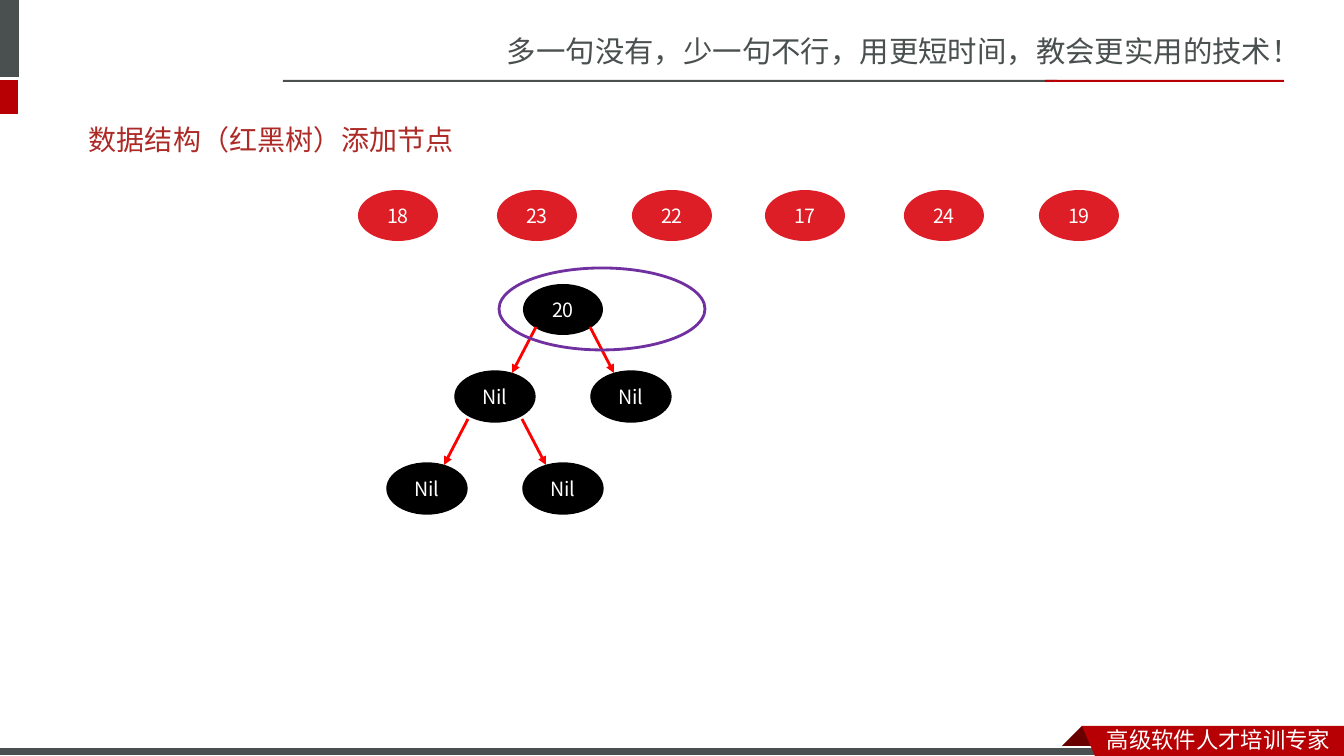
from lxml.etree import SubElement
from pptx import Presentation
from pptx.dml.color import RGBColor
from pptx.enum.shapes import MSO_CONNECTOR, MSO_SHAPE
from pptx.enum.text import MSO_ANCHOR, PP_ALIGN
from pptx.oxml.ns import qn
from pptx.util import Pt

EMU_PER_PX = 914400 / 100.8
SLIDE_W, SLIDE_H = 1344, 756
NODE_W, NODE_H = 80, 51
CHILD_SHIFT = 68

CJK_FONT = "Noto Sans CJK SC"
WHITE = RGBColor(0xFF, 0xFF, 0xFF)
BLACK = RGBColor(0x00, 0x00, 0x00)
GREY = RGBColor(0x49, 0x50, 0x4F)
CRIMSON = RGBColor(0xB6, 0x00, 0x04)
FOLD_RED = RGBColor(0x68, 0x00, 0x00)
TITLE_RED = RGBColor(0xAD, 0x2A, 0x26)
NODE_RED = RGBColor(0xDE, 0x1E, 0x27)
ARROW_RED = RGBColor(0xFF, 0x00, 0x00)
PURPLE = RGBColor(0x70, 0x30, 0xA0)


def px(*lengths):
    return [round(length * EMU_PER_PX) for length in lengths]


def paint(shape, fill=None, line=None, width=1):
    shape.shadow.inherit = False
    if fill is None:
        shape.fill.background()
    else:
        shape.fill.solid()
        shape.fill.fore_color.rgb = fill
    if line is None:
        shape.line.fill.background()
    else:
        shape.line.color.rgb = line
        shape.line.width = Pt(width)


def style(paragraph, text, size, color, font):
    paragraph.text = text
    paragraph.font.size = Pt(size)
    paragraph.font.color.rgb = color
    paragraph.font.name = font


def add_label(slide, box, text, size, color, font=CJK_FONT, anchor=MSO_ANCHOR.TOP):
    frame = slide.shapes.add_textbox(*px(*box)).text_frame
    frame.word_wrap = True
    frame.vertical_anchor = anchor
    style(frame.paragraphs[0], text, size, color, font)


def add_bar(slide, box, fill, line=None):
    bar = slide.shapes.add_shape(MSO_SHAPE.RECTANGLE, *px(*box))
    paint(bar, fill, line, 0.75)


def add_outline(slide, points, fill):
    builder = slide.shapes.build_freeform(*points[0], scale=EMU_PER_PX)
    builder.add_line_segments(points[1:], close=True)
    paint(builder.convert_to_shape(), fill)


def add_node(slide, left, top, key, fill, line=None):
    node = slide.shapes.add_shape(MSO_SHAPE.OVAL, *px(left, top, NODE_W, NODE_H))
    paint(node, fill, line)
    node.text_frame.vertical_anchor = MSO_ANCHOR.MIDDLE
    paragraph = node.text_frame.paragraphs[0]
    paragraph.alignment = PP_ALIGN.CENTER
    style(paragraph, key, 14, WHITE, CJK_FONT)


def add_arrow(slide, *ends):
    arrow = slide.shapes.add_connector(MSO_CONNECTOR.STRAIGHT, *px(*ends))
    arrow.line.color.rgb = ARROW_RED
    arrow.line.width = Pt(2)
    SubElement(arrow.line._get_or_add_ln(), qn("a:tailEnd"), type="triangle")
    SubElement(arrow._element.spPr, qn("a:effectLst"))


def add_header(slide, left, top, width):
    add_label(slide, (left + 497, top + 28, width - 497, 47),
              "多一句没有，少一句不行，用更短时间，教会更实用的技术！", 21, GREY)
    add_bar(slide, (left, top, 19, 77), GREY)
    add_bar(slide, (left, top + 80, 18, 34), CRIMSON)
    add_bar(slide, (left + 283, top + 80, 774, 2), GREY)
    add_bar(slide, (left + 1045, top + 80, 239, 2), CRIMSON)


def add_footer(slide, left, top, width, height):
    right, bottom = left + width, top + height
    ribbon = right - 262
    add_outline(slide, [(ribbon, top), (ribbon + 22, top + 22), (ribbon + 21, top + 23),
                        (ribbon - 21, top + 23), (ribbon - 22, top + 22)], FOLD_RED)
    add_bar(slide, (left, bottom - 9, 1108, 9), GREY, WHITE)
    add_outline(slide, [(ribbon, top), (right, top), (right, bottom),
                        (ribbon + 13, bottom)], CRIMSON)
    add_label(slide, (right - 247, top - 5, 247, 35), "高级软件人才培训专家", 16, WHITE)


def add_waiting_keys(slide, left, top):
    keys = {"18": 0, "23": 139, "22": 274, "17": 407, "24": 546, "19": 681}
    for key, offset in keys.items():
        add_node(slide, left + offset, top, key, NODE_RED)


def add_children(slide, parent_left, top):
    """Hang two Nil nodes with their arrows below a parent."""
    center = parent_left + NODE_W // 2
    for side in (-1, 1):
        add_arrow(slide, center + side * 27, top - 44, center + side * 51, top + 2)
        add_node(slide, parent_left + side * CHILD_SHIFT, top, "Nil", BLACK, BLACK)


def add_tree(slide, left, top):
    add_node(slide, left, top, "20", BLACK)
    add_children(slide, left, top + 87)
    add_children(slide, left - CHILD_SHIFT, top + 179)
    highlight = slide.shapes.add_shape(MSO_SHAPE.OVAL, *px(left - 24, top - 16, 206, 82))
    paint(highlight, line=PURPLE, width=2)


def main():
    deck = Presentation()
    deck.slide_width, deck.slide_height = px(SLIDE_W, SLIDE_H)
    slide = deck.slides.add_slide(deck.slide_layouts[6])
    add_header(slide, 0, 0, SLIDE_W)
    add_footer(slide, 0, 726, SLIDE_W, 30)
    add_label(slide, (79, 111, 400, 57), "数据结构（红黑树）添加节点", 20, TITLE_RED,
              "Calibri", MSO_ANCHOR.MIDDLE)
    add_waiting_keys(slide, 358, 190)
    add_tree(slide, 523, 284)
    deck.save("out.pptx")


if __name__ == "__main__":
    main()
